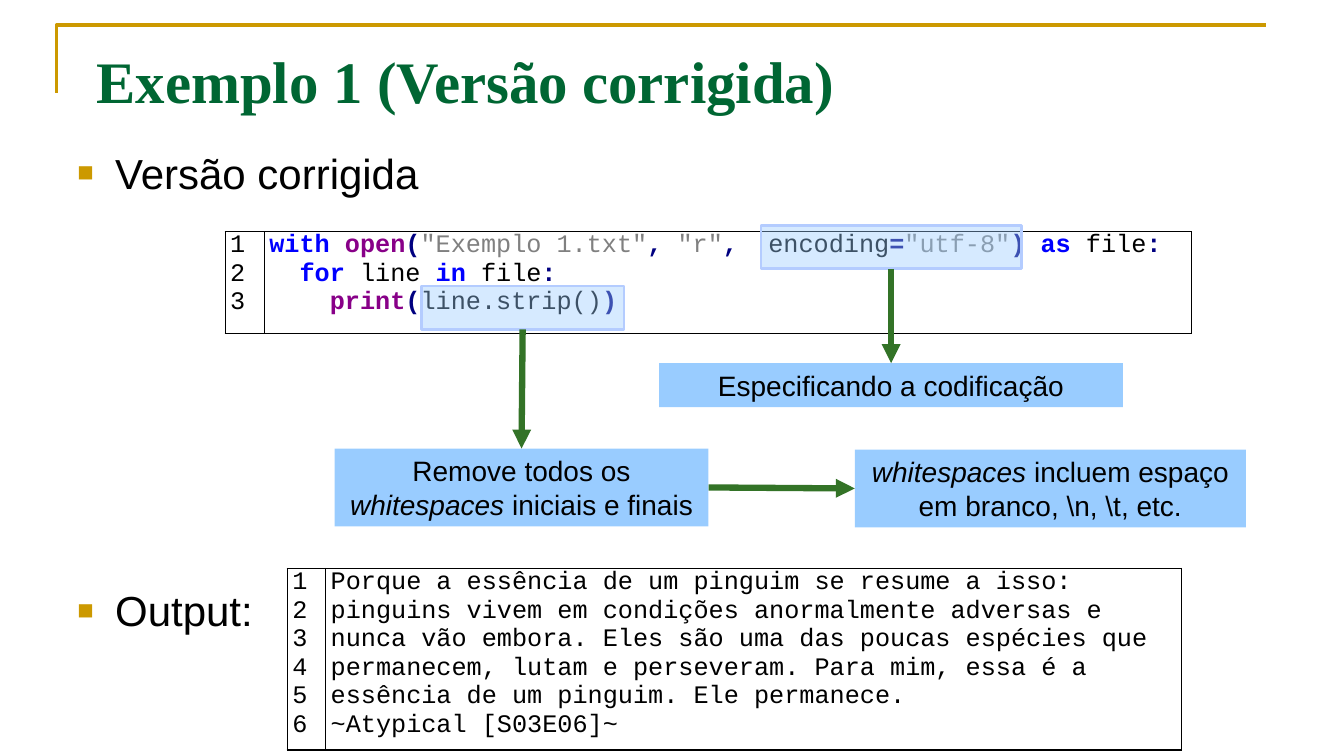
import pptx
import pptx.dml.color
import pptx.enum.dml
import pptx.enum.shapes
import pptx.enum.text
import pptx.oxml
import pptx.oxml.ns
import pptx.util

Pt = pptx.util.Pt
RGBColor = pptx.dml.color.RGBColor
Align = pptx.enum.text.PP_ALIGN
Anchor = pptx.enum.text.MSO_ANCHOR
qn = pptx.oxml.ns.qn
NAMESPACE = pptx.oxml.ns.nsdecls("a")

BLACK = RGBColor(0x00, 0x00, 0x00)
GOLD = RGBColor(0xCC, 0x99, 0x00)
TITLE_GREEN = RGBColor(0x00, 0x66, 0x33)
ARROW_GREEN = RGBColor(0x33, 0x73, 0x27)
NOTE_BLUE = RGBColor(0x99, 0xCC, 0xFF)
EDGE_BLUE = RGBColor(0xB4, 0xCC, 0xFF)
KEYWORD_BLUE = RGBColor(0x00, 0x00, 0xFF)
CALL_PURPLE = RGBColor(0x88, 0x00, 0x88)
SIGN_NAVY = RGBColor(0x00, 0x00, 0x80)
STRING_GRAY = RGBColor(0x80, 0x80, 0x80)

TITLE_FONT = {"name": "Times New Roman", "size": Pt(42), "bold": True}
BULLET_FONT = {"name": "Arial", "size": Pt(30)}
NOTE_FONT = {"name": "Arial", "size": Pt(20)}
CODE_FONT = {"name": "Courier New", "size": Pt(18)}

STYLES = {
    "plain": (BLACK, {}),
    "italic": (BLACK, {"italic": True}),
    "title": (TITLE_GREEN, {}),
    "keyword": (KEYWORD_BLUE, {"bold": True}),
    "call": (CALL_PURPLE, {"bold": True}),
    "sign": (SIGN_NAVY, {"bold": True}),
    "string": (STRING_GRAY, {}),
}

TITLE = "Exemplo 1 (Versão corrigida)"
BULLETS = [("Versão corrigida", 101.5, 864), ("Output:", 414, 150)]

CODE = [
    [("with ", "keyword"), ("open", "call"), ("(", "sign"),
     ('"Exemplo 1.txt"', "string"), (", ", "sign"), ('"r"', "string"),
     (",", "sign"), ("  encoding", "plain"), ("=", "sign"),
     ('"utf-8"', "string"), (") ", "sign"), ("as", "keyword"),
     (" file", "plain"), (":", "sign")],
    [("  for", "keyword"), (" line ", "plain"), ("in", "keyword"),
     (" file", "plain"), (":", "sign")],
    [("    ", "plain"), ("print", "call"), ("(", "sign"),
     ("line.strip()", "plain"), (")", "sign")],
]
OUTPUT = [[(line, "plain")] for line in (
    "Porque a essência de um pinguim se resume a isso:",
    "pinguins vivem em condições anormalmente adversas e",
    "nunca vão embora. Eles são uma das poucas espécies que",
    "permanecem, lutam e perseveram. Para mim, essa é a",
    "essência de um pinguim. Ele permanece.",
    "~Atypical [S03E06]~",
)]
LISTINGS = [
    (CODE, 160.8, 165.6, (28, 662.4), 72.7),
    (OUTPUT, 205.2, 406.1, (27.4, 611.3), 129.6),
]

HIGHLIGHTS = {
    "encoding": (543.6, 161.1, 185.8, 31),
    "strip": (301, 204.3, 144.7, 31),
}
NOTES = {
    "codec": ((470.9, 259.4, 331.2, 31.5),
              [("Especificando a codificação", "plain")]),
    "remove": ((239, 320.4, 267.1, 55.6),
               [("Remove todos os ", "plain"), ("whitespaces", "italic"),
                (" iniciais e finais", "plain")]),
    "whitespace": ((610.6, 321.1, 279.4, 55.6),
                   [("whitespaces", "italic"),
                    (" incluem espaço em branco, \\n, \\t, etc.", "plain")]),
}
BOTTOM, TOP, LEFT, RIGHT = 2, 0, 1, 3
ARROWS = [
    ("encoding", BOTTOM, "codec", TOP),
    ("strip", BOTTOM, "remove", TOP),
    ("remove", RIGHT, "whitespace", LEFT),
]


def apply_format(target, values):
    for name, value in values.items():
        setattr(target, name, value)


def write_spans(para, spans, font):
    for text, style in spans:
        span = para.add_run()
        span.text = text
        color, extra = STYLES[style]
        apply_format(span.font, {**font, **extra})
        span.font.color.rgb = color


def add_text(page, area, spans, font, anchor):
    box = page.shapes.add_textbox(*map(Pt, area))
    apply_format(box.text_frame, {"word_wrap": True, "vertical_anchor": anchor})
    para = box.text_frame.paragraphs[0]
    write_spans(para, spans, font)
    return para


def add_bullet(para):
    properties = para._p.get_or_add_pPr()
    properties.set("marL", str(Pt(27)))
    properties.set("indent", str(-Pt(27)))
    for xml in (f'<a:buClr {NAMESPACE}><a:srgbClr val="{GOLD}"/></a:buClr>',
                f'<a:buSzPct {NAMESPACE} val="65000"/>',
                f'<a:buFont {NAMESPACE} typeface="Arial"/>',
                f'<a:buChar {NAMESPACE} char="■"/>'):
        properties.append(pptx.oxml.parse_xml(xml))


def add_listing(page, lines, left, top, widths, height):
    frame = page.shapes.add_table(1, 2, Pt(left), Pt(top), Pt(sum(widths)), Pt(height))
    table = frame.table
    apply_format(table, {"first_row": False, "horz_banding": False})
    table.rows[0].height = Pt(height)
    numbers = [[(str(number), "plain")] for number in range(1, len(lines) + 1)]
    for column, content in enumerate((numbers, lines)):
        table.columns[column].width = Pt(widths[column])
        cell = table.cell(0, column)
        apply_format(cell, {"margin_left": Pt(3.6), "margin_right": Pt(3.6),
                            "margin_top": 0, "margin_bottom": 0})
        cell.fill.background()
        properties = cell._tc.get_or_add_tcPr()
        for index, side in enumerate("LRTB"):
            properties.insert(index, pptx.oxml.parse_xml(
                f'<a:ln{side} {NAMESPACE} w="{Pt(1)}"><a:solidFill>'
                f'<a:srgbClr val="{BLACK}"/></a:solidFill></a:ln{side}>'))
        for index, spans in enumerate(content):
            text = cell.text_frame
            para = text.add_paragraph() if index else text.paragraphs[0]
            write_spans(para, spans, CODE_FONT)


def add_rectangle(page, area):
    box = page.shapes.add_shape(pptx.enum.shapes.MSO_SHAPE.RECTANGLE, *map(Pt, area))
    box.shadow.inherit = False
    box.fill.solid()
    box.fill.fore_color.rgb = NOTE_BLUE
    return box


def add_highlight(page, area):
    box = add_rectangle(page, area)
    color = box.fill._xPr.find(qn("a:solidFill")).find(qn("a:srgbClr"))
    color.append(pptx.oxml.parse_xml(f'<a:alpha {NAMESPACE} val="40000"/>'))
    box.line.color.rgb = EDGE_BLUE
    box.line.width = Pt(2)
    return box


def add_note(page, area, spans):
    box = add_rectangle(page, area)
    box.line.fill.background()
    apply_format(box.text_frame, {"word_wrap": True, "vertical_anchor": Anchor.MIDDLE})
    para = box.text_frame.paragraphs[0]
    para.alignment = Align.CENTER
    write_spans(para, spans, NOTE_FONT)
    return box


def add_arrow(page, start, start_side, end, end_side):
    arrow = page.shapes.add_connector(pptx.enum.shapes.MSO_CONNECTOR.STRAIGHT, 0, 0, 0, 0)
    arrow.begin_connect(start, start_side)
    arrow.end_connect(end, end_side)
    arrow.line.color.rgb = ARROW_GREEN
    arrow.line.width = Pt(4.5)
    arrow.line._get_or_add_ln().append(
        pptx.oxml.parse_xml(f'<a:tailEnd {NAMESPACE} type="triangle"/>'))
    arrow._element.spPr.append(pptx.oxml.parse_xml(f"<a:effectLst {NAMESPACE}/>"))


def main():
    deck = pptx.Presentation()
    apply_format(deck, {"slide_width": Pt(960), "slide_height": Pt(540)})
    page = deck.slides.add_slide(deck.slide_layouts[6])

    builder = page.shapes.build_freeform(Pt(40.3), Pt(66.2))
    builder.add_line_segments([(Pt(40.3), Pt(18)), (Pt(904.3), Pt(18))], close=False)
    corner = builder.convert_to_shape()
    corner.shadow.inherit = False
    corner.fill.background()
    corner.line.color.rgb = GOLD
    corner.line.width = Pt(2.5)

    add_text(page, (61.9, 25.9, 864, 62.6), [(TITLE, "title")], TITLE_FONT, Anchor.MIDDLE)
    for text, top, width in BULLETS:
        add_bullet(add_text(page, (48.2, top, width, 42), [(text, "plain")],
                            BULLET_FONT, Anchor.TOP))
    for listing in LISTINGS:
        add_listing(page, *listing)

    boxes = {name: add_highlight(page, area) for name, area in HIGHLIGHTS.items()}
    for name, (area, spans) in NOTES.items():
        boxes[name] = add_note(page, area, spans)
    for start, start_side, end, end_side in ARROWS:
        add_arrow(page, boxes[start], start_side, boxes[end], end_side)

    deck.save("out.pptx")


if __name__ == "__main__":
    main()
